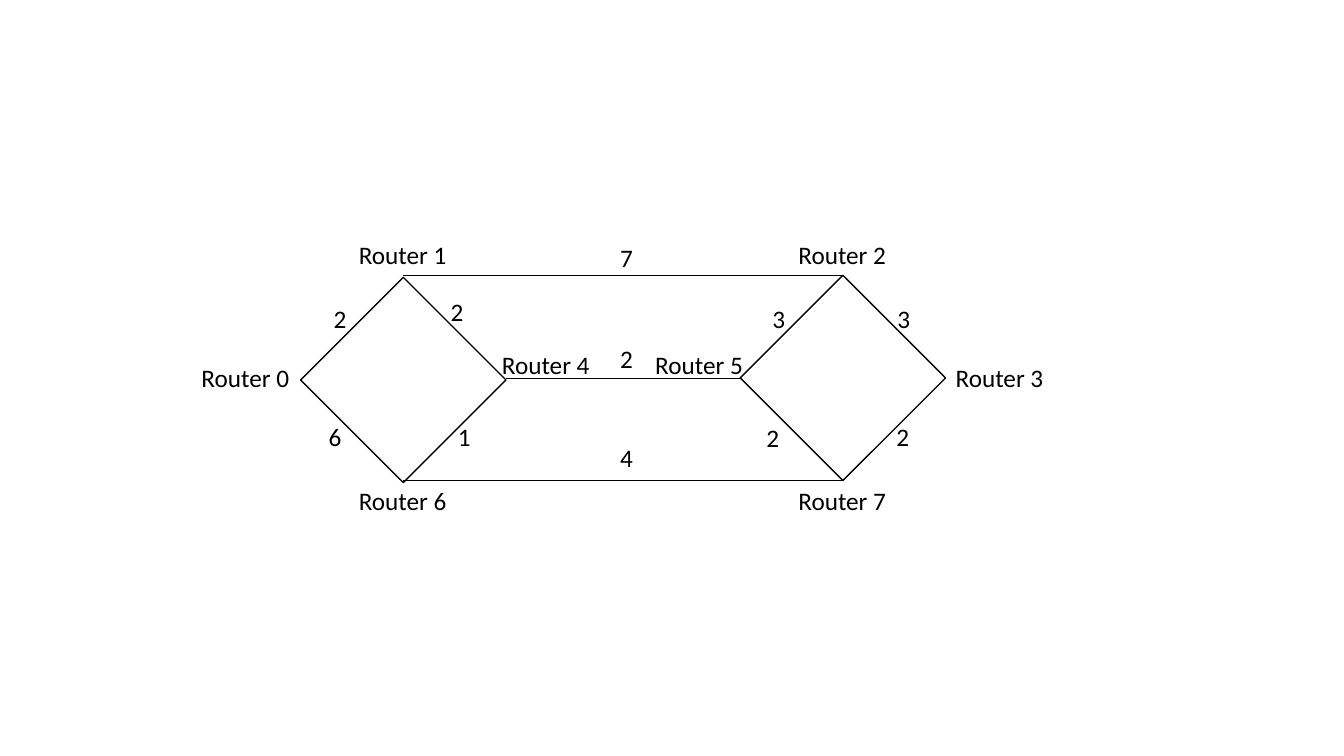
import pptx
import pptx.dml.color
import pptx.enum.shapes
import pptx.enum.text
import pptx.util
from pptx.oxml.ns import qn
import lxml.etree

BLACK = pptx.dml.color.RGBColor(0, 0, 0)
WHITE = pptx.dml.color.RGBColor(255, 255, 255)
FONT = "Calibri"
STEP = 1.02
COLUMNS = [4 - STEP, 4, 4 + STEP, 8.36 - STEP, 8.36, 8.36 + STEP]
ROWS = [3.75 - STEP, 3.75, 3.75 + STEP]
SQUARE_SIDE = 1.44
LABEL_WIDTH, COST_WIDTH, TEXT_HEIGHT = 1.08, 0.12, 0.4

ROUTERS = [
    (0, 1, -0.5, 0),
    (1, 0, 0, -0.5),
    (4, 0, 0, -0.5),
    (5, 1, 0.5, 0),
    (2, 1, 0.37, -0.33),
    (3, 1, -0.37, -0.33),
    (1, 2, 0, 0.5),
    (4, 2, 0, 0.5),
]
SQUARES = [(1, 0.02), (4, 0)]
CABLES = [(1, 2), (4, 5), (6, 7)]
COSTS = [
    (0, 1, 2, -0.12, -0.08),
    (0, 6, 6, -0.17, 0.07),
    (1, 2, 7, 0.03, -0.18),
    (4, 5, 2, 0.03, -0.19),
    (4, 6, 1, 0.09, 0.07),
    (1, 4, 2, 0.02, -0.15),
    (6, 7, 4, 0.03, -0.23),
    (5, 7, 2, -0.19, 0.08),
    (2, 3, 3, 0.09, -0.08),
    (3, 7, 2, 0.08, 0.07),
    (2, 5, 3, -0.13, -0.08),
]


def centred_frame(x, y, width, height):
    edges = (x - width / 2, y - height / 2, width, height)
    return [pptx.util.Inches(edge) for edge in edges]


def router_point(number):
    column, row = ROUTERS[number][:2]
    return COLUMNS[column], ROWS[row]


def add_text(page, text, x, y, width, inset=0.1, size=18, color=BLACK):
    box = page.shapes.add_textbox(*centred_frame(x, y, width, TEXT_HEIGHT))
    frame = box.text_frame
    frame.word_wrap = False
    frame.auto_size = pptx.enum.text.MSO_AUTO_SIZE.SHAPE_TO_FIT_TEXT
    frame.margin_left = frame.margin_right = pptx.util.Inches(inset)
    span = frame.paragraphs[0].add_run()
    span.text = text
    span.font.name = FONT
    span.font.size = pptx.util.Pt(size)
    span.font.color.rgb = color


def add_square(page, column, drop):
    square = page.shapes.add_shape(
        pptx.enum.shapes.MSO_SHAPE.RECTANGLE,
        *centred_frame(COLUMNS[column], ROWS[1] + drop, SQUARE_SIDE, SQUARE_SIDE))
    square.rotation = 45
    square.shadow.inherit = False
    square.fill.solid()
    square.fill.fore_color.rgb = WHITE
    square.line.color.rgb = BLACK
    square.line.width = pptx.util.Pt(1)


def add_cable(page, first, second):
    ends = router_point(first) + router_point(second)
    cable = page.shapes.add_connector(
        pptx.enum.shapes.MSO_CONNECTOR.STRAIGHT,
        *[pptx.util.Inches(end) for end in ends])
    cable.line.color.rgb = BLACK
    cable.line.width = pptx.util.Pt(0.5)
    lxml.etree.SubElement(cable._element.spPr, qn("a:effectLst"))


def add_router_label(page, number):
    x, y = router_point(number)
    across, down = ROUTERS[number][2:]
    add_text(page, f"Router {number}", x + across * LABEL_WIDTH,
             y + down * TEXT_HEIGHT, LABEL_WIDTH)


def add_cost(page, first, second, cost, shift_x, shift_y):
    x1, y1 = router_point(first)
    x2, y2 = router_point(second)
    add_text(page, str(cost), (x1 + x2) / 2 + shift_x,
             (y1 + y2) / 2 + shift_y, COST_WIDTH, inset=0)


def main():
    deck = pptx.Presentation()
    deck.slide_width = pptx.util.Inches(13.33)
    deck.slide_height = pptx.util.Inches(7.5)
    page = deck.slides.add_slide(deck.slide_layouts[6])
    for square in SQUARES:
        add_square(page, *square)
    for cable in CABLES:
        add_cable(page, *cable)
    for number in range(len(ROUTERS)):
        add_router_label(page, number)
    for cost in COSTS:
        add_cost(page, *cost)
    deck.save("out.pptx")


main()
